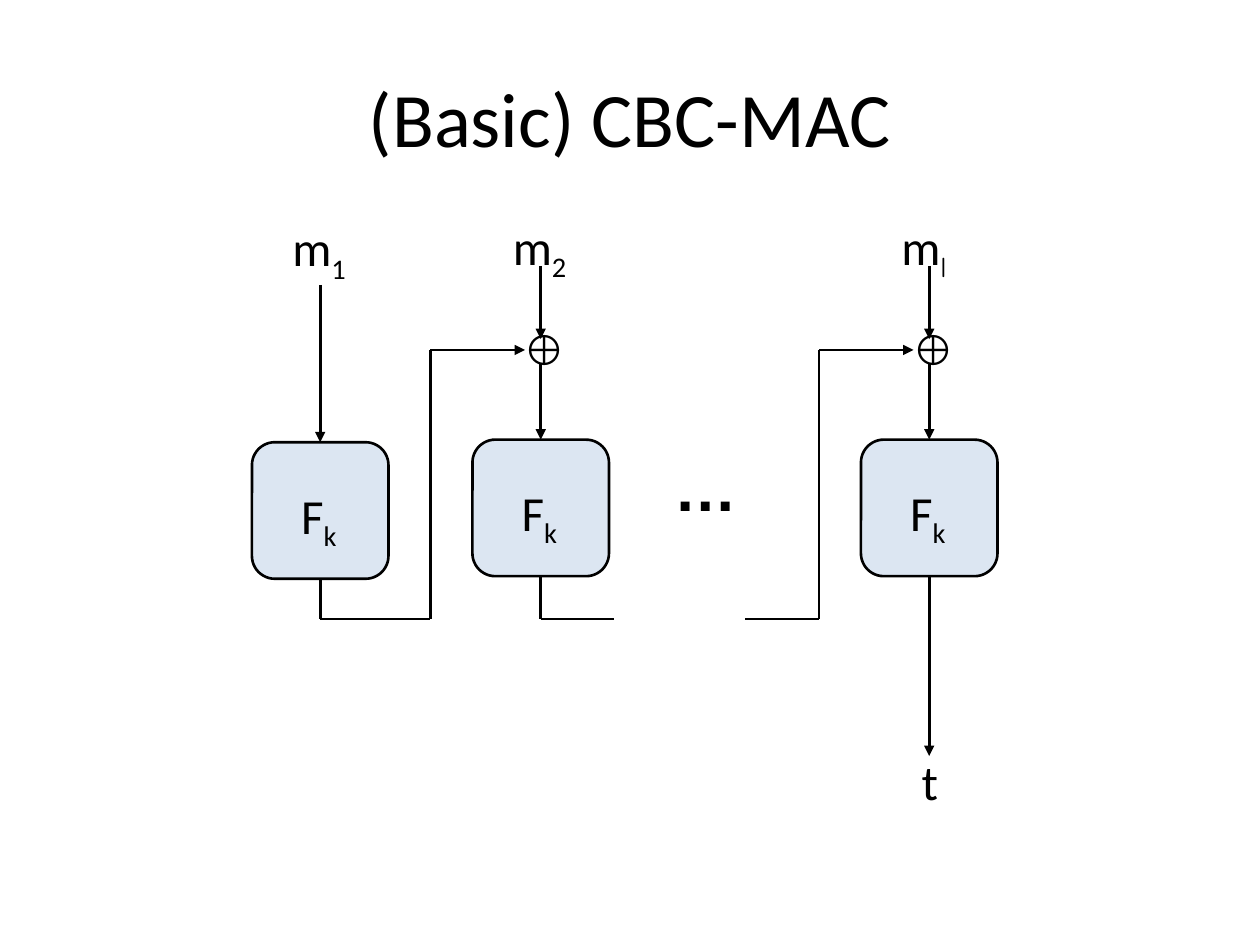
from dataclasses import dataclass

import pptx
import pptx.dml.color
import pptx.enum.shapes
import pptx.enum.text
import pptx.oxml
import pptx.oxml.ns
import pptx.util

Pt = pptx.util.Pt
RGBColor = pptx.dml.color.RGBColor
PP_ALIGN = pptx.enum.text.PP_ALIGN
MSO_ANCHOR = pptx.enum.text.MSO_ANCHOR

BLACK = RGBColor(0, 0, 0)
PALE_BLUE = RGBColor(0xDC, 0xE6, 0xF2)
BOX = 78
BUS_Y = 353.75
XOR_Y = 200
TOP, BOTTOM = 0, 2


@dataclass
class Stage:
    cx: float
    box_top: float
    index: str
    label_top: float
    label_width: float = 47
    index_font: str = "Calibri"
    feedback_x: float | None = None


STAGES = [
    Stage(183, 252.75, "1", 121),
    Stage(309, 251.25, "2", 120, feedback_x=183),
    Stage(531, 251.25, "l", 120, 43, "Comic Neue", feedback_x=426),
]


def add_text(slide, text: str, x: float, y: float, w: float, h: float, *,
             size: float = 28, font: str = "Calibri", bold: bool = False,
             sub: str = "", sub_font: str = "Calibri", wrap: bool = False,
             align=PP_ALIGN.LEFT, anchor=MSO_ANCHOR.TOP) -> None:
    tf = slide.shapes.add_textbox(Pt(x), Pt(y), Pt(w), Pt(h)).text_frame
    tf.word_wrap = wrap
    tf.vertical_anchor = anchor
    if not wrap:
        tf.auto_size = pptx.enum.text.MSO_AUTO_SIZE.SHAPE_TO_FIT_TEXT
    p = tf.paragraphs[0]
    p.alignment = align
    for content, name, baseline in ((text, font, None), (sub, sub_font, "-25000")):
        if not content:
            continue
        r = p.add_run()
        r.text = content
        r.font.name = name
        r.font.size = Pt(size)
        r.font.bold = bold
        r.font.color.rgb = BLACK
        if baseline:
            r._r.get_or_add_rPr().set("baseline", baseline)


def add_line(slide, x1: float, y1: float, x2: float, y2: float, *,
             arrow: bool = False, start=None, end=None) -> None:
    line = slide.shapes.add_connector(
        pptx.enum.shapes.MSO_CONNECTOR.STRAIGHT, Pt(x1), Pt(y1), Pt(x2), Pt(y2))
    line.line.color.rgb = BLACK
    line.line.width = Pt(1.5)
    if arrow:
        ln = line.line._get_or_add_ln()
        tail = pptx.oxml.parse_xml(f'<a:tailEnd {pptx.oxml.ns.nsdecls("a")} type="triangle"/>')
        ln.append(tail)
    line._element.spPr.append(
        pptx.oxml.parse_xml(f'<a:effectLst {pptx.oxml.ns.nsdecls("a")}/>'))
    if start is not None:
        line.begin_connect(start, BOTTOM)
    if end is not None:
        line.end_connect(end, TOP)


def add_block(slide, stage: Stage):
    sp = slide.shapes.add_shape(
        pptx.enum.shapes.MSO_SHAPE.ROUNDED_RECTANGLE,
        Pt(stage.cx - BOX / 2), Pt(stage.box_top), Pt(BOX), Pt(BOX))
    sp.adjustments[0] = 0.167
    sp.shadow.inherit = False
    sp.fill.solid()
    sp.fill.fore_color.rgb = PALE_BLUE
    sp.line.color.rgb = BLACK
    sp.line.width = Pt(1.5)
    add_text(slide, "F", stage.cx - 18, stage.box_top + 21, 36, 41, sub="k")
    return sp


def add_feedback(slide, stage: Stage) -> None:
    bend = stage.cx - 63
    add_line(slide, stage.feedback_x, BUS_Y, bend, BUS_Y)
    add_line(slide, bend, BUS_Y, bend, XOR_Y)
    add_line(slide, bend, XOR_Y, stage.cx - 9, XOR_Y, arrow=True)


def add_stage(slide, stage: Stage, out_y: float, out_arrow: bool) -> None:
    cx, top = stage.cx, stage.box_top
    block = add_block(slide, stage)
    add_text(slide, "m", cx - 23, stage.label_top, stage.label_width, 41,
             sub=stage.index, sub_font=stage.index_font)
    if stage.feedback_x is None:
        add_line(slide, cx, 162.75, cx, top, arrow=True, end=block)
    else:
        add_line(slide, cx, 152, cx, 193.75, arrow=True)
        add_text(slide, "⊕", cx - 16.75, 181.5, 33, 36.5, size=24, font="Arial")
        add_line(slide, cx, 207.5, cx, top, arrow=True, end=block)
        add_feedback(slide, stage)
    add_line(slide, cx, top + BOX, cx, out_y, arrow=out_arrow, start=block)


def main() -> None:
    prs = pptx.Presentation()
    prs.slide_width, prs.slide_height = Pt(720), Pt(540)
    slide = prs.slides.add_slide(prs.slide_layouts[6])
    add_text(slide, "(Basic) CBC-MAC", 36, 21.6, 648, 90, size=44, wrap=True,
             align=PP_ALIGN.CENTER, anchor=MSO_ANCHOR.MIDDLE)
    for stage in STAGES:
        last = stage is STAGES[-1]
        add_stage(slide, stage, 432 if last else BUS_Y, last)
    add_line(slide, STAGES[1].cx, BUS_Y, 351, BUS_Y)
    add_text(slide, "…", 378, 252.75, 51, 51, size=36, font="Arial", bold=True)
    add_text(slide, "t", STAGES[-1].cx - 11.5, 426, 24, 41)
    prs.save("out.pptx")


if __name__ == "__main__":
    main()
